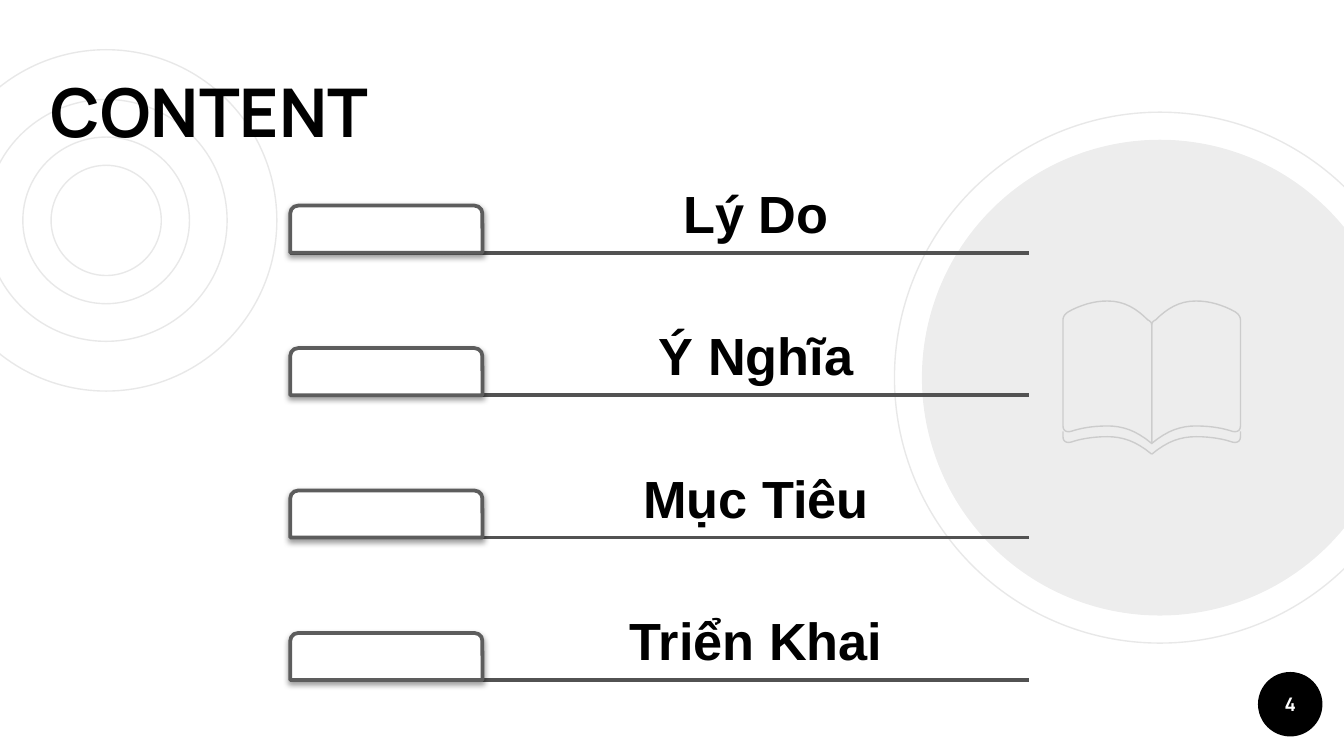
from lxml import etree
from pptx import Presentation
from pptx.dml.color import RGBColor
from pptx.enum.shapes import MSO_CONNECTOR, MSO_SHAPE
from pptx.enum.text import MSO_ANCHOR, PP_ALIGN
from pptx.oxml.ns import qn
from pptx.util import Inches, Pt

OVAL = MSO_SHAPE.OVAL
TAB = MSO_SHAPE.ROUND_2_SAME_RECTANGLE
STRAIGHT = MSO_CONNECTOR.STRAIGHT
BOTTOM, MIDDLE = MSO_ANCHOR.BOTTOM, MSO_ANCHOR.MIDDLE
LEFT, CENTER = PP_ALIGN.LEFT, PP_ALIGN.CENTER

TOPICS = ["Lý Do", "Ý Nghĩa", "Mục Tiêu", "Triển Khai"]
ROW_TOP, ROW_PITCH, ROW_HEIGHT = 1.53, 1.06, 0.35
ROW_LEFT, TAB_WIDTH, TOPIC_WIDTH = 2.16, 1.43, 4.07

# Book curves: x is the distance from the spine, y is the slide height.
# Each curve is a start point, two control points and an end point.
SPINE = 8.57
LOWER_EDGE = [
    [(0, 3.30), (0.12, 3.20), (0.22, 3.17), (0.33, 3.17)],
    [(0.33, 3.17), (0.45, 3.17), (0.54, 3.19), (0.60, 3.21)],
    [(0.60, 3.21), (0.64, 3.22), (0.66, 3.20), (0.66, 3.17)],
]
UPPER_EDGE = [
    [(0.66, 2.38), (0.66, 2.36), (0.65, 2.34), (0.62, 2.32)],
    [(0.62, 2.32), (0.53, 2.27), (0.43, 2.24), (0.33, 2.24)],
    [(0.33, 2.24), (0.20, 2.24), (0.11, 2.30), (0.03, 2.38)],
    [(0.03, 2.38), (0.01, 2.39), (0, 2.40), (0, 2.42)],
]
COVER_DROP = 0.08


def color(hex_string):
    return RGBColor.from_string(hex_string)


def apply_format(target, values):
    for name, value in values.items():
        setattr(target, name, value)


def style_shape(shape, fill=None, line=None, width=0.75):
    if fill:
        shape.fill.solid()
        shape.fill.fore_color.rgb = color(fill)
    else:
        shape.fill.background()
    if line:
        shape.line.color.rgb = color(line)
        shape.line.width = Pt(width)
    else:
        shape.line.fill.background()
    shape.shadow.inherit = False


def add_circle(slide, center_x, center_y, diameter, **style):
    left, top = center_x - diameter / 2, center_y - diameter / 2
    circle = slide.shapes.add_shape(
        OVAL, Inches(left), Inches(top), Inches(diameter), Inches(diameter))
    style_shape(circle, **style)
    return circle


def set_opacity(shape, percent):
    fill_color = shape._element.spPr.find(qn("a:solidFill"))[0]
    etree.SubElement(fill_color, qn("a:alpha"), val=str(percent * 1000))


def add_text(slide, text, box, font, font_color="000000", anchor=MIDDLE,
             align=CENTER, inset=0.1, spacing=1.0):
    shape = slide.shapes.add_textbox(*map(Inches, box))
    frame = shape.text_frame
    sides = ("left", "top", "right", "bottom")
    apply_format(frame, {f"margin_{side}": Inches(inset) for side in sides})
    apply_format(frame, {"word_wrap": True, "vertical_anchor": anchor})
    paragraph = frame.paragraphs[0]
    apply_format(paragraph, {"alignment": align, "line_spacing": spacing})
    run = paragraph.add_run()
    run.text = text
    apply_format(run.font, {"bold": True, **font})
    run.font.color.rgb = color(font_color)


def add_rule(slide, left, right, y):
    rule = slide.shapes.add_connector(
        STRAIGHT, Inches(left), Inches(y), Inches(right), Inches(y))
    rule.line.color.rgb = color("525252")
    rule.line.width = Pt(2)
    etree.SubElement(rule._element.spPr, qn("a:effectLst"))


def add_tab(slide, top):
    tab = slide.shapes.add_shape(
        TAB, Inches(ROW_LEFT), Inches(top), Inches(TAB_WIDTH), Inches(ROW_HEIGHT))
    tab.adjustments[0] = 0.167
    tab.adjustments[1] = 0
    style_shape(tab, fill="FFFFFF", line="5D5D5D", width=2)
    # Soft shadow straight below
    effects = tab._element.spPr.find(qn("a:effectLst"))
    shadow = etree.SubElement(
        effects, qn("a:outerShdw"), blurRad=str(Pt(3.1)), dist=str(Pt(1.6)),
        dir="5400000", rotWithShape="0")
    shadow_color = etree.SubElement(shadow, qn("a:srgbClr"), val="000000")
    etree.SubElement(shadow_color, qn("a:alpha"), val="38000")


def trace(curves, steps=8):
    """Return points along a chain of cubic curves."""
    points = []
    for curve in curves:
        for step in range(steps + 1):
            t = step / steps
            weights = ((1 - t) ** 3, 3 * t * (1 - t) ** 2, 3 * t * t * (1 - t), t ** 3)
            points.append(tuple(
                sum(weight * point[axis] for weight, point in zip(weights, curve))
                for axis in (0, 1)))
    return points


def add_outline(slide, points, side, close):
    placed = [(Inches(SPINE + side * x), Inches(y)) for x, y in points]
    builder = slide.shapes.build_freeform(*placed[0])
    builder.add_line_segments(placed[1:], close=close)
    style_shape(builder.convert_to_shape(), line="CCCCCC")


def add_book(slide):
    lower = trace(LOWER_EDGE)
    cover = [(x, y + COVER_DROP) for x, y in lower] + [(0.66, 3.21)]
    page = lower + trace(UPPER_EDGE)
    for points, close in ((cover, False), (page, True)):
        for side in (-1, 1):
            add_outline(slide, points, side, close)


def add_topics(slide):
    tops = [ROW_TOP + index * ROW_PITCH for index in range(len(TOPICS))]
    topic_left = ROW_LEFT + TAB_WIDTH
    for top in reversed(tops):
        add_rule(slide, ROW_LEFT, topic_left + TOPIC_WIDTH, top + ROW_HEIGHT)
    for topic, top in zip(TOPICS, tops):
        add_text(slide, topic, (topic_left, top, TOPIC_WIDTH, ROW_HEIGHT),
                 {"name": "Arial", "size": Pt(28)}, anchor=BOTTOM,
                 inset=0.06, spacing=0.9)
        add_tab(slide, top)


def main():
    presentation = Presentation()
    # Widescreen, 16 to 9
    presentation.slide_width = Inches(10)
    presentation.slide_height = Inches(10 * 9 / 16)
    slide = presentation.slides.add_slide(presentation.slide_layouts[6])

    # Background circles
    for diameter in (2.54, 1.24, 1.8, 0.82):
        add_circle(slide, 0.79, 1.64, diameter, line="E8E8E8")
    add_circle(slide, 9.6, 5.24, 0.48, fill="000000")
    add_circle(slide, 8.63, 2.81, 3.95, line="E8E8E8")
    disc = add_circle(slide, 8.63, 2.81, 3.54, fill="000000")
    set_opacity(disc, 7)

    # Title and page number
    add_text(slide, "CONTENT", (0.28, 0.47, 5.71, 0.75),
             {"name": "Manrope", "size": Pt(36)}, anchor=BOTTOM, align=LEFT)
    add_text(slide, "4", (9.36, 5, 0.48, 0.48),
             {"name": "Manrope", "size": Pt(10)}, font_color="FFFFFF")

    # Book and topic list
    add_book(slide)
    add_topics(slide)
    presentation.save("out.pptx")


if __name__ == "__main__":
    main()
